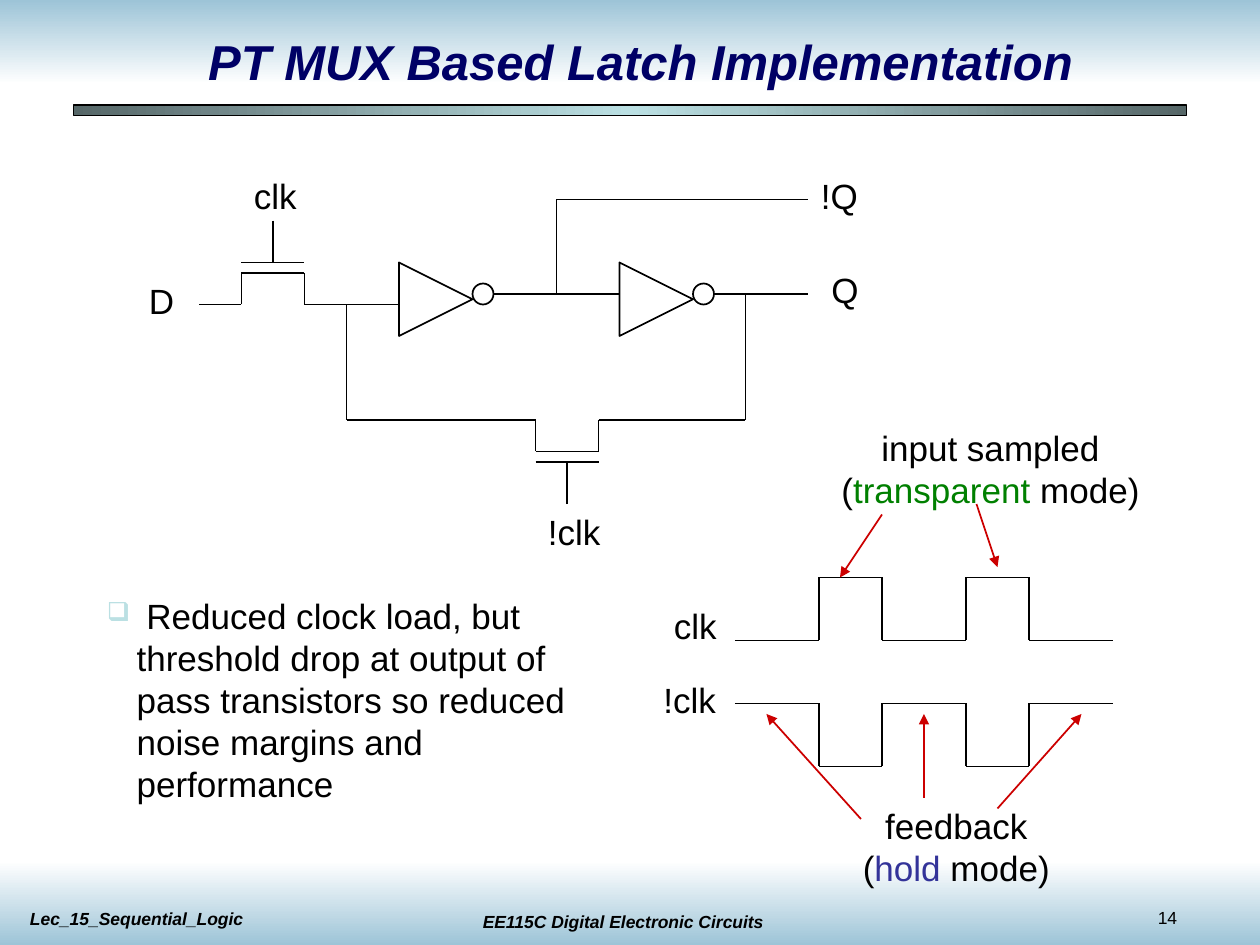
from copy import deepcopy
from itertools import pairwise

from lxml.etree import SubElement
from pptx import Presentation
from pptx.dml.color import RGBColor
from pptx.enum.shapes import MSO_CONNECTOR as Connector, MSO_SHAPE as Shape
from pptx.enum.text import MSO_ANCHOR as Anchor, MSO_AUTO_SIZE as AutoSize, PP_ALIGN as Align
from pptx.oxml.ns import qn
from pptx.util import Pt

BLACK = RGBColor(0x00, 0x00, 0x00)
WHITE = RGBColor(0xFF, 0xFF, 0xFF)
NAVY = RGBColor(0x00, 0x00, 0x66)
SKY = RGBColor(0x9D, 0xC4, 0xD7)
SLATE = RGBColor(0x56, 0x67, 0x68)
PALE = RGBColor(0xBB, 0xE0, 0xE3)
RED = RGBColor(0xCC, 0x00, 0x00)
GREEN = RGBColor(0x00, 0x80, 0x00)
BLUE = RGBColor(0x33, 0x33, 0x99)


def add_shape(s, kind, x, y, w, h):
    sp = s.shapes.add_shape(kind, Pt(x), Pt(y), Pt(w), Pt(h))
    sp.shadow.inherit = False
    return sp


def add_band(s, box, colors, angle):
    sp = add_shape(s, Shape.RECTANGLE, *box)
    sp.line.fill.background()
    sp.fill.gradient()
    sp.fill.gradient_angle = angle
    stop_list = sp._element.spPr.find(".//" + qn("a:gsLst"))
    for _ in colors[2:]:
        stop_list.append(deepcopy(stop_list[-1]))
    for i, (stop, color) in enumerate(zip(sp.fill.gradient_stops, colors)):
        stop.color.rgb = color
        stop.position = i / (len(colors) - 1)
    return sp


def format_runs(p, size, color=BLACK, strong=False):
    for r in p.runs:
        r.font.name = "Arial"
        r.font.size = Pt(size)
        r.font.bold = r.font.italic = strong
        r.font.color.rgb = color


def add_text(s, box, text, size=20, color=BLACK, strong=False, align=Align.LEFT, wrap=False):
    x, y, w, h = box
    tf = s.shapes.add_textbox(Pt(x), Pt(y), Pt(w), Pt(h)).text_frame
    tf.word_wrap = wrap
    tf.auto_size = AutoSize.NONE if wrap else AutoSize.SHAPE_TO_FIT_TEXT
    tf.text = text
    p = tf.paragraphs[0]
    p.alignment = align
    format_runs(p, size, color, strong)
    return tf


def add_bulleted(s, box, text):
    p = add_text(s, box, text, wrap=True).paragraphs[0]
    pPr = p._p.get_or_add_pPr()
    pPr.set("marL", str(Pt(17)))
    pPr.set("indent", str(Pt(-17)))
    SubElement(SubElement(pPr, qn("a:buClr")), qn("a:srgbClr")).set("val", str(PALE))
    SubElement(pPr, qn("a:buSzPct")).set("val", "75000")
    SubElement(pPr, qn("a:buChar")).set("char", "❑")


def add_mode_note(s, box, heading, mode, color):
    tf = add_text(s, box, heading, align=Align.CENTER)
    p = tf.add_paragraph()
    p.alignment = Align.CENTER
    for part in ("(", mode, " mode)"):
        p.add_run().text = part
    format_runs(p, 20)
    p.runs[1].font.color.rgb = color


def add_line(s, start, end, color=BLACK):
    line = s.shapes.add_connector(Connector.STRAIGHT, *map(Pt, start + end))
    line.line.color.rgb = color
    line.line.width = Pt(1)
    SubElement(line._element.spPr, qn("a:effectLst"))
    return line


def add_arrow(s, start, end):
    line = add_line(s, start, end, RED)
    SubElement(line._element.spPr.find(qn("a:ln")), qn("a:tailEnd")).set("type", "triangle")


def add_wire(s, *points):
    for start, end in pairwise(points):
        add_line(s, start, end)


def add_inverter(s, x, y):
    triangle = add_shape(s, Shape.ISOSCELES_TRIANGLE, x, y, 42, 42)
    triangle.rotation = 90
    bubble = add_shape(s, Shape.OVAL, x + 42, y + 12, 12, 12)
    for sp in (triangle, bubble):
        sp.fill.background()
        sp.line.color.rgb = BLACK
        sp.line.width = Pt(1)


def add_transistor(s, x, y, side):
    left, right, middle = x + 24, x + 60, x + 42
    channel, plate, gate = (y + side * d for d in (18, 24, 48))
    add_wire(s, (x, y), (left, y), (left, channel), (right, channel), (right, y), (x + 84, y))
    add_wire(s, (left, plate), (right, plate))
    add_wire(s, (middle, gate), (middle, plate))


def add_clock(s, rest, pulse):
    points = [(420, rest)]
    for rise in (468, 552):
        fall = rise + 36
        points += [(rise, rest), (rise, pulse), (fall, pulse), (fall, rest)]
    add_wire(s, *points, (636, rest))


def add_frame(s):
    add_band(s, (0, 0, 720, 48), (SKY, WHITE), 270)
    add_band(s, (0, 492, 720, 48), (WHITE, SKY), 270)
    rule = add_band(s, (42, 60, 636, 6), (SLATE, PALE, SLATE), 0)
    rule.line.color.rgb = BLACK
    rule.line.width = Pt(0.75)
    add_text(s, (254, 517, 204, 19.5), "EE115C Digital Electronic Circuits", 10,
             strong=True, align=Align.CENTER, wrap=True)
    add_text(s, (654.5, 515, 60, 19.5), "14", 10, wrap=True)
    add_text(s, (10, 515.5, 204, 19.5), "Lec_15_Sequential_Logic", 10, strong=True, wrap=True)
    title = add_text(s, (42, 12.5, 648, 45), "PT MUX Based Latch Implementation", 28, NAVY,
                     strong=True, align=Align.CENTER, wrap=True)
    title.vertical_anchor = Anchor.MIDDLE


def add_latch(s):
    for x in (228, 354):
        add_inverter(s, x, 150)
    add_transistor(s, 114, 174, -1)
    add_transistor(s, 282, 240, 1)
    add_wire(s, (186, 174), (228, 174))
    add_wire(s, (282, 168), (354, 168))
    add_wire(s, (408, 168), (462, 168))
    add_wire(s, (318, 168), (318, 114), (462, 114))
    add_wire(s, (198, 174), (198, 240), (294, 240))
    add_wire(s, (360, 240), (426, 240), (426, 168))


def add_labels(s):
    labels = (("Q", 468, 150, 32), ("D", 78, 156, 32), ("clk", 138, 96, 42),
              ("!Q", 462, 96, 39), ("!clk", 306, 288, 48),
              ("clk", 378, 342, 42), ("!clk", 372, 384, 48))
    for text, x, y, w in labels:
        add_text(s, (x, y, w, 31.5), text)


def add_timing(s):
    add_clock(s, 366, 330)
    add_clock(s, 402, 438)
    add_mode_note(s, (471, 240, 190, 55.5), "input sampled", "transparent", GREEN)
    add_mode_note(s, (483, 456, 127, 55.5), "feedback", "hold", BLUE)
    arrows = (((504, 294), (480, 330)), ((558, 288), (570, 324)),
              ((528, 456), (528, 408)), ((570, 462), (618, 408)), ((492, 468), (438, 408)))
    for start, end in arrows:
        add_arrow(s, start, end)


def main():
    prs = Presentation()
    prs.slide_width, prs.slide_height = Pt(720), Pt(540)
    s = prs.slides.add_slide(prs.slide_layouts[6])
    add_frame(s)
    add_latch(s)
    add_labels(s)
    add_timing(s)
    add_bulleted(s, (54, 336, 294, 127.5),
                 " Reduced clock load, but threshold drop at output of pass transistors "
                 "so reduced noise margins and performance")
    prs.save("out.pptx")


if __name__ == "__main__":
    main()
